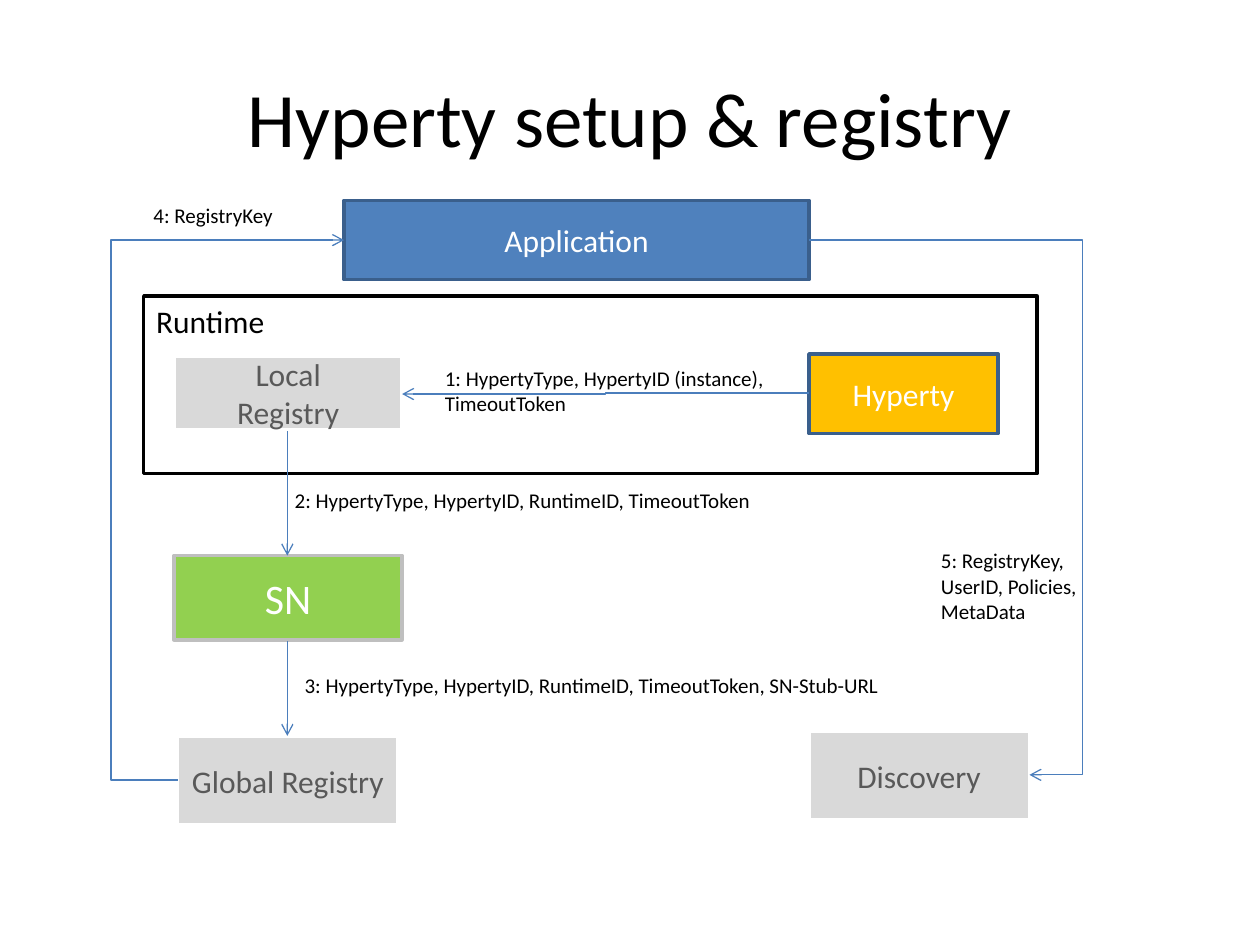
from dataclasses import dataclass

from lxml import etree
from pptx import Presentation
from pptx.dml.color import RGBColor
from pptx.enum import shapes, text
from pptx.oxml import ns
from pptx.util import Pt


@dataclass(frozen=True)
class Theme:
    """Colours, font and sizes of the slide."""
    font: str = "Calibri"
    black: str = "000000"
    white: str = "FFFFFF"
    blue: str = "4F81BD"
    navy: str = "3A5F8C"
    link: str = "4B7EBC"
    amber: str = "FFC000"
    green: str = "92D050"
    pale: str = "D9D9D9"
    mid: str = "BFBFBF"
    dark: str = "595959"
    title: float = 44
    big: float = 24
    body: float = 18
    note: float = 12
    edge: float = 2
    thin: float = 0.75


T = Theme()
MID = text.MSO_ANCHOR.MIDDLE
LEFT, CENTER = text.PP_ALIGN.LEFT, text.PP_ALIGN.CENTER


def rgb(code):
    """Turn a hex code into a colour."""
    return RGBColor.from_string(code)


def pts(*vals):
    """Turn numbers into point lengths."""
    return [Pt(v) for v in vals]


def write(par, words, size, color, align=LEFT):
    """Add one formatted run per line, with breaks between lines."""
    par.alignment = align
    for i, line in enumerate(words.split("\n")):
        if i:
            par.add_line_break()
        run = par.add_run()
        run.text = line
        run.font.name, run.font.size = T.font, Pt(size)
        run.font.color.rgb = rgb(color)


def node(slide, box, lines, fill, edge, ink, size=T.body, align=CENTER, anchor=MID):
    """Draw a rectangle with one paragraph per line."""
    rect = slide.shapes.add_shape(shapes.MSO_SHAPE.RECTANGLE, *pts(*box))
    rect.shadow.inherit = False
    if fill:
        rect.fill.solid()
        rect.fill.fore_color.rgb = rgb(fill)
    else:
        rect.fill.background()
    rect.line.color.rgb = rgb(edge)
    rect.line.width = Pt(T.edge)
    frame = rect.text_frame
    frame.word_wrap, frame.vertical_anchor = True, anchor
    for i, line in enumerate(lines):
        par = frame.add_paragraph() if i else frame.paragraphs[0]
        write(par, line, size, ink, align)


def note(slide, box, words):
    """Place a message label that fits its text."""
    frame = slide.shapes.add_textbox(*pts(*box)).text_frame
    frame.word_wrap = False
    frame.auto_size = text.MSO_AUTO_SIZE.SHAPE_TO_FIT_TEXT
    write(frame.paragraphs[0], words, T.note, T.black)


def link(slide, tip, tail, bend=None):
    """Draw an arrow pointing at tip; bend is the elbow's share of the width."""
    kinds = shapes.MSO_CONNECTOR
    kind = kinds.STRAIGHT if bend is None else kinds.ELBOW
    line = slide.shapes.add_connector(kind, *pts(*tip, *tail))
    line.line.color.rgb = rgb(T.link)
    line.line.width = Pt(T.thin)
    props = line._element.spPr
    etree.SubElement(props.find(ns.qn("a:ln")), ns.qn("a:headEnd"), type="arrow")
    etree.SubElement(props, ns.qn("a:effectLst"))
    if bend is not None:
        guides = props.find(ns.qn("a:prstGeom")).get_or_add_avLst()
        etree.SubElement(guides, ns.qn("a:gd"), name="adj1",
                         fmla=f"val {round(bend * 100000)}")


def head(slide, box):
    """Place the slide title."""
    title = slide.shapes.title
    title.left, title.top, title.width, title.height = pts(*box)
    title.text_frame.vertical_anchor = MID
    write(title.text_frame.paragraphs[0], "Hyperty setup & registry",
          T.title, T.black, CENTER)


def runtime(slide, box):
    """Draw the runtime frame with its registry, hyperty and first message."""
    x, y, w, h = box
    node(slide, box, ["Runtime"], None, T.black, T.black,
         align=LEFT, anchor=text.MSO_ANCHOR.TOP)
    node(slide, (x + 17.4, y + 34.6, 130.3, 41.8), ["Local", "Registry"],
         T.pale, T.white, T.dark)
    node(slide, (x + 380.2, y + 33.1, 108, 45.4), ["Hyperty"],
         T.amber, T.navy, T.white)
    link(slide, (x + 147.7, y + 56), (x + 380.2, y + 55.5), 0.5)
    note(slide, (x + 165, y + 36, 200.9, 36),
         "1: HypertyType, HypertyID (instance), \nTimeoutToken")


def network(slide, box):
    """Draw the node, registry and discovery below the runtime."""
    x, y, w, h = box
    node(slide, (x, y, 130.3, 48.2), ["SN"], T.green, T.mid, T.white, T.big)
    for left, top, name in ((2.1, 103, "Global Registry"), (362.8, 100.1, "Discovery")):
        node(slide, (x + left, y + top, 126, 51.1), [name], T.pale, T.white, T.dark)
    mid = x + 64.8
    for tip, tail in ((0, -71.3), (103, 49)):
        link(slide, (mid, y + tip), (mid, y + tail))
    note(slide, (x + 61.9, y - 42.5, 277.2, 21.6),
         "2: HypertyType, HypertyID, RuntimeID, TimeoutToken")
    note(slide, (x + 67.6, y + 63.4, 348.5, 21.6),
         "3: HypertyType, HypertyID, RuntimeID, TimeoutToken, SN-Stub-URL ")


def client(slide, box):
    """Draw the application and its links down to registry and discovery."""
    x, y, w, h = box
    node(slide, box, ["Application"], T.blue, T.navy, T.white)
    mid = y + h / 2
    link(slide, (x, mid), (x - 95.1, mid + 308.5), 1.4)
    note(slide, (x - 116, y - 2.2, 86.4, 21.6), "4: RegistryKey ")
    link(slide, (x + w + 126, mid + 305.6), (x + w, mid), -0.24)
    note(slide, (x + 334, y + 195.1, 95.8, 51.1),
         "5: RegistryKey, \nUserID, Policies, \nMetaData ")


def main():
    """Build and save the slide."""
    deck = Presentation()
    deck.slide_width, deck.slide_height = pts(720, 540)
    slide = deck.slides.add_slide(deck.slide_layouts[5])
    head(slide, (36, 21.6, 648, 90))
    runtime(slide, (82.1, 169.2, 510.5, 101.5))
    network(slide, (99.4, 317.5, 488.8, 154.1))
    client(slide, (196.6, 114.5, 265.7, 45.4))
    deck.save("out.pptx")


main()
